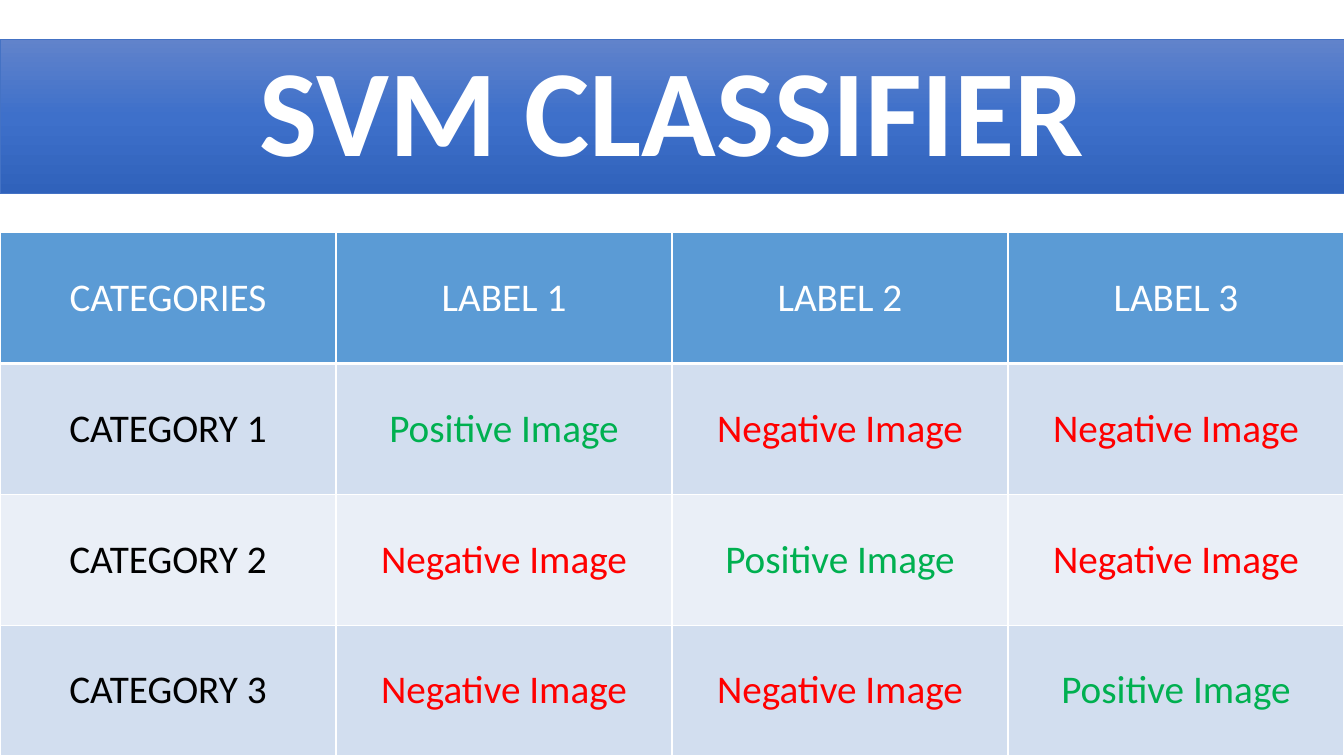
from lxml.etree import SubElement
from pptx import Presentation
from pptx.dml.color import RGBColor
from pptx.enum.text import MSO_ANCHOR, MSO_AUTO_SIZE, PP_ALIGN
from pptx.oxml.ns import qn
from pptx.util import Inches, Pt

COLORS = {
    "white": "FFFFFF", "black": "000000", "green": "00B050", "red": "FF0000",
    "head": "5B9BD5", "odd": "D2DEEF", "even": "EAEFF7", "edge": "4472C4",
    "top": "6183CB", "mid": "3E70CA", "low": "3062BB",
}
WIDTH, HEIGHT = 13.33, 7.5
TABLE_TOP = 2.31
COUNT = 3  # categories, and labels


def color(name):
    return RGBColor.from_string(COLORS[name])


def style(para, size, tint, bold=False):
    para.alignment = PP_ALIGN.CENTER
    font = para.font
    font.name, font.size, font.bold = "Calibri", Pt(size), bold
    font.color.rgb = color(tint)


def shade(shape, stops):
    """Fill a shape with a gradient running downwards."""
    shape.fill.gradient()
    shape.fill.gradient_angle = 270
    group = shape._element.spPr.find(qn("a:gradFill")).find(qn("a:gsLst"))
    for old in list(group):
        group.remove(old)
    for place, name in stops:
        stop = SubElement(group, qn("a:gs"), pos=str(place * 1000))
        SubElement(stop, qn("a:srgbClr"), val=COLORS[name])


def add_title(slide, text):
    title = slide.shapes.title
    title.left, title.top = Inches(0), Inches(0.39)
    title.width, title.height = Inches(WIDTH), Inches(1.53)
    shade(title, [(0, "top"), (50, "mid"), (100, "low")])
    title.line.color.rgb = color("edge")
    title.line.width = Pt(0.5)
    frame = title.text_frame
    frame.text = text
    frame.word_wrap = True
    frame.auto_size = MSO_AUTO_SIZE.NONE
    frame.vertical_anchor = MSO_ANCHOR.MIDDLE
    para = frame.paragraphs[0]
    para.line_spacing = 0.9
    style(para, 88, "white", bold=True)


def add_edges(cell, bottom):
    props = cell._tc.get_or_add_tcPr()
    for side, width in (("L", 1), ("R", 1), ("T", 1), ("B", bottom)):
        line = SubElement(props, qn(f"a:ln{side}"), w=str(Pt(width)))
        fill = SubElement(line, qn("a:solidFill"))
        SubElement(fill, qn("a:srgbClr"), val=COLORS["white"])


def fill_cell(cell, text, tint, back, bottom=1):
    add_edges(cell, bottom)
    cell.fill.solid()
    cell.fill.fore_color.rgb = color(back)
    cell.vertical_anchor = MSO_ANCHOR.MIDDLE
    cell.text = text
    style(cell.text_frame.paragraphs[0], 28, tint)


def add_grid(slide):
    size = COUNT + 1
    table = slide.shapes.add_table(
        size, size, Inches(0), Inches(TABLE_TOP),
        Inches(WIDTH), Inches(HEIGHT - TABLE_TOP)).table
    # Header row
    heads = ["CATEGORIES"] + [f"LABEL {n}" for n in range(1, size)]
    for col, text in enumerate(heads):
        fill_cell(table.cell(0, col), text, "white", "head", bottom=3)
    # Each category is positive only for its own label
    for row in range(1, size):
        back = "odd" if row % 2 else "even"
        fill_cell(table.cell(row, 0), f"CATEGORY {row}", "black", back)
        for col in range(1, size):
            text, tint = (("Positive Image", "green") if row == col
                          else ("Negative Image", "red"))
            fill_cell(table.cell(row, col), text, tint, back)


def main():
    deck = Presentation()
    deck.slide_width, deck.slide_height = Inches(WIDTH), Inches(HEIGHT)
    slide = deck.slides.add_slide(deck.slide_layouts[5])
    add_title(slide, "SVM CLASSIFIER")
    add_grid(slide)
    deck.save("out.pptx")


if __name__ == "__main__":
    main()
